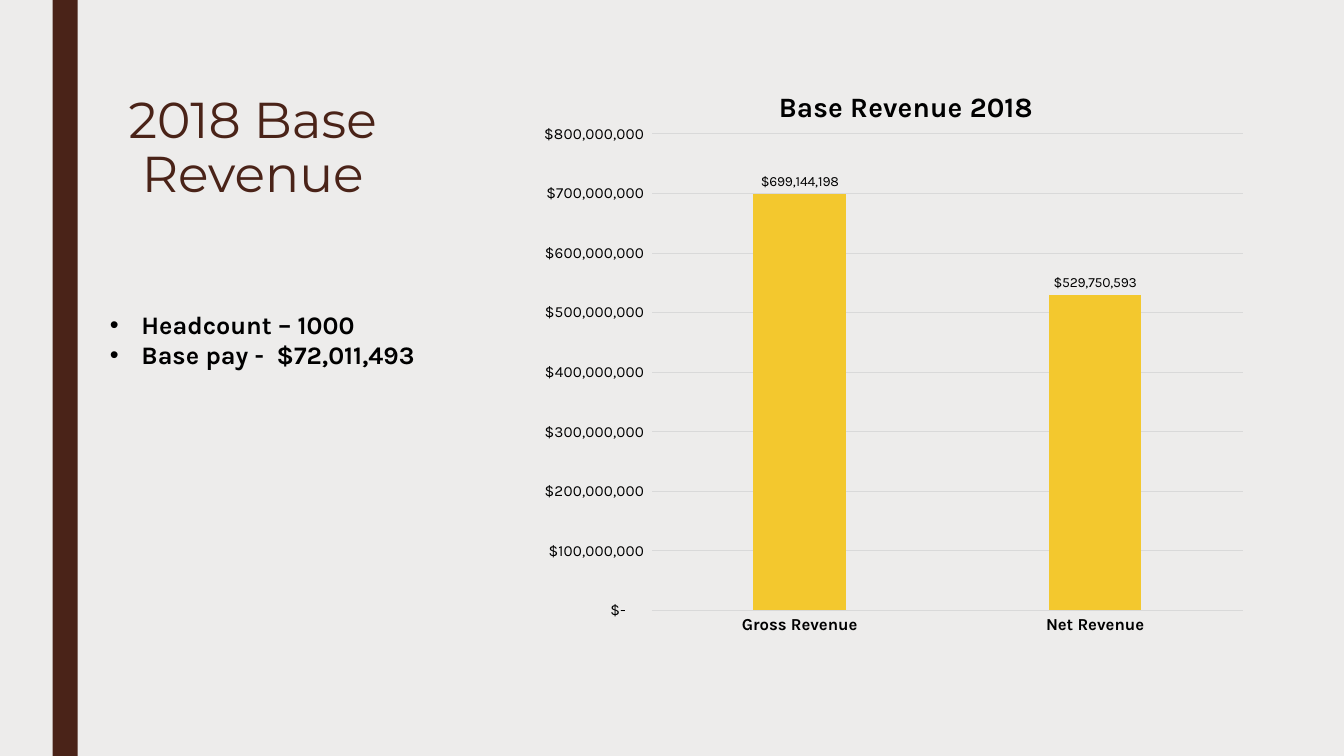
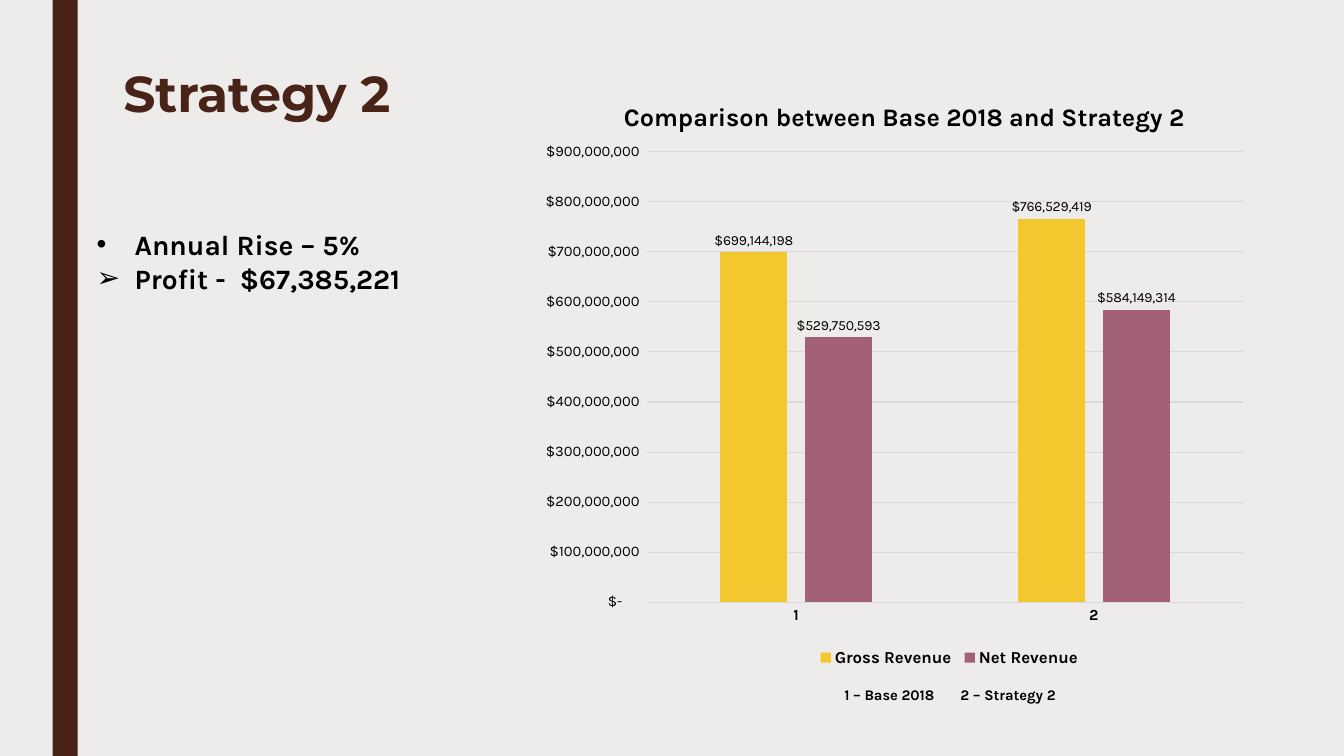
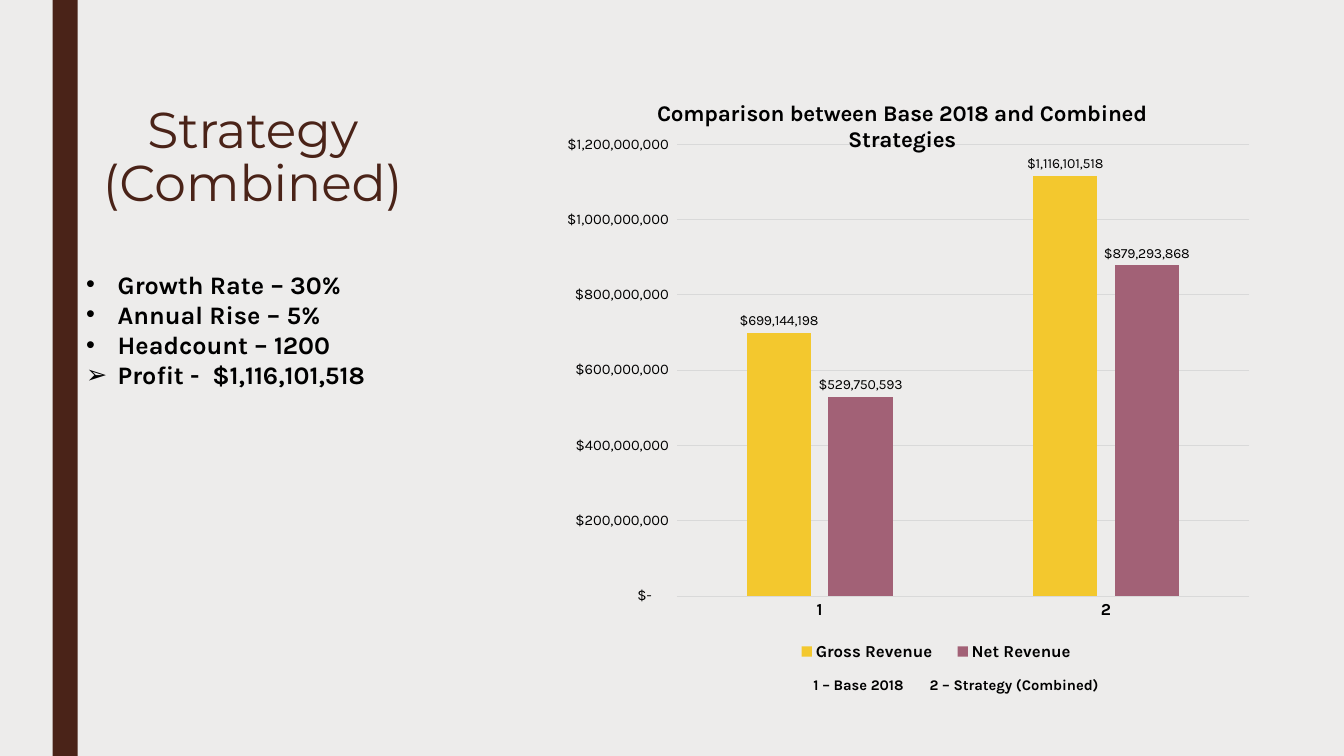
"""Build three revenue strategy slides, each with a title, key figures and a column chart."""
from dataclasses import dataclass

from lxml import etree
from pptx import Presentation
from pptx.chart.data import CategoryChartData
from pptx.dml.color import RGBColor
from pptx.enum.chart import XL_CHART_TYPE as ChartType
from pptx.enum.chart import XL_LABEL_POSITION as LabelPosition
from pptx.enum.chart import XL_LEGEND_POSITION as LegendPosition
from pptx.enum.chart import XL_TICK_MARK as TickMark
from pptx.enum.shapes import MSO_SHAPE as Preset
from pptx.enum.text import MSO_ANCHOR as Anchor
from pptx.enum.text import MSO_AUTO_SIZE as AutoSize
from pptx.enum.text import PP_ALIGN as Align
from pptx.oxml.ns import qn
from pptx.util import Pt


@dataclass(frozen=True)
class Theme:
    background: str = "EDECEB"
    brown: str = "4A2318"
    ink: str = "000000"
    grid: str = "D9D9D9"
    series: tuple = ("F3C82E", "A26176")
    title_font: str = "Montserrat"
    body_font: str = "Karla"
    title_size: float = 36
    label_size: float = 10
    legend_size: float = 12
    note_size: float = 10.5
    money: str = '_("$"* #,##0_);_("$"* \\(#,##0\\);_("$"* "-"??_);_(@_)'


THEME = Theme()
SLIDE_SIZE = (960, 540)
BAR_BOX = (37.5, 0, 18, 540)
NOTE_TAB = 83
DOT, ARROW = "•", "➢"
MILLION = 1_000_000

SLIDES = [
    {
        "title": "2018 Base Revenue", "title_box": (50.5, 50.5, 260, 112.5), "bold": False,
        "points": [(DOT, "Headcount – 1000"), (DOT, "Base pay -  $72,011,493")],
        "points_box": (71.5, 217.5, 276.5, 72.5), "points_size": 18, "indent": 22.5,
        "chart": {
            "box": (386, 41, 512.5, 448.5), "title": "Base Revenue 2018",
            "title_size": 20, "title_at": (0.32, 0.04),
            "categories": ["Gross Revenue", "Net Revenue"],
            "series": {"Series 1": (699144198, 529750593)},
            "category_size": 12, "value_size": 11, "maximum": 800, "step": 100,
            "plot": (0.149, 0.122, 0.83, 0.759), "legend": None,
        },
        "note": None,
    },
    {
        "title": "Strategy 2", "title_box": (53.5, 20, 260, 98), "bold": True,
        "points": [(DOT, "Annual Rise – 5%"), (ARROW, "Profit -  $67,385,221")],
        "points_box": (62, 159, 275, 55.5), "points_size": 20, "indent": 27,
        "chart": {
            "box": (386, 50.5, 512.5, 439), "title": "Comparison between Base 2018 and Strategy 2",
            "title_size": 18, "title_at": (0.11, 0.04),
            "categories": ["1", "2"],
            "series": {"Gross Revenue": (699144198, 766529419),
                       "Net Revenue": (529750593, 584149314)},
            "category_size": 11, "value_size": 10.5, "maximum": 900, "step": 100,
            "plot": (0.149, 0.132, 0.83, 0.733), "legend": (0.38, 0.93, 0.38, 0.05),
        },
        "note": ("1 – Base 2018\t2 – Strategy 2", (596, 486, 165.5, 21)),
    },
    {
        "title": "Strategy (Combined)", "title_box": (50.5, 50.5, 260, 126), "bold": False,
        "points": [(DOT, "Growth Rate – 30%"), (DOT, "Annual Rise – 5%"),
                   (DOT, "Headcount – 1200"), (ARROW, "Profit -  $1,116,101,518")],
        "points_box": (54.5, 188.5, 281, 116.5), "points_size": 18, "indent": 22.5,
        "chart": {
            "box": (389.5, 50.5, 512.5, 439),
            "title": "Comparison between Base 2018 and Combined Strategies",
            "title_size": 16, "title_at": (0.15, 0.04),
            "categories": ["1", "2"],
            "series": {"Gross Revenue": (699144198, 1116101518),
                       "Net Revenue": (529750593, 879293868)},
            "category_size": 12, "value_size": 10.5, "maximum": 1200, "step": 200,
            "plot": (0.183, 0.12, 0.798, 0.735), "legend": (0.33, 0.92, 0.43, 0.05),
        },
        "note": ("1 – Base 2018\t2 – Strategy (Combined)", (574, 479.5, 218, 20)),
    },
]


def points(box):
    return [Pt(length) for length in box]


def set_font(font, size, bold=False, color=THEME.ink, name=THEME.body_font):
    font.name, font.size, font.bold = name, Pt(size), bold
    font.color.rgb = RGBColor.from_string(color)


def set_fill(fill, color):
    fill.solid()
    fill.fore_color.rgb = RGBColor.from_string(color)


def set_line(line, color):
    line.color.rgb = RGBColor.from_string(color)
    line.width = Pt(0.75)


def place(element, box, inner=False):
    """Give a chart part a manual layout in fractions of the chart."""
    for old in element.findall(qn("c:layout")):
        element.remove(old)
    layout = etree.Element(qn("c:layout"))
    manual = etree.SubElement(layout, qn("c:manualLayout"))
    entries = [("layoutTarget", "inner")] if inner else []
    entries += [("xMode", "edge"), ("yMode", "edge"), *zip("xywh", box)]
    for tag, value in entries:
        etree.SubElement(manual, qn(f"c:{tag}")).set("val", str(value))
    overlay = element.find(qn("c:overlay"))
    if overlay is None:
        element.insert(0, layout)
    else:
        overlay.addprevious(layout)


def add_title(slide, text, box, bold):
    title = slide.shapes.title
    title.left, title.top, title.width, title.height = points(box)
    frame = title.text_frame
    frame.text = text
    frame.word_wrap, frame.auto_size = True, AutoSize.NONE
    frame.vertical_anchor = Anchor.MIDDLE
    paragraph = frame.paragraphs[0]
    paragraph.alignment, paragraph.line_spacing = Align.CENTER, 0.89
    set_font(paragraph.font, THEME.title_size, bold, THEME.brown, THEME.title_font)


def add_text(slide, lines, box, size):
    """Add a bold text box and return its paragraphs."""
    frame = slide.shapes.add_textbox(*points(box)).text_frame
    frame.text = "\n".join(lines)
    frame.word_wrap, frame.auto_size = True, AutoSize.SHAPE_TO_FIT_TEXT
    for paragraph in frame.paragraphs:
        set_font(paragraph.font, size, True)
    return frame.paragraphs


def add_points(slide, items, box, size, indent):
    paragraphs = add_text(slide, [text for _, text in items], box, size)
    for paragraph, (bullet, _) in zip(paragraphs, items):
        properties = paragraph._p.get_or_add_pPr()
        properties.set("marL", str(Pt(indent)))
        properties.set("indent", str(-Pt(indent)))
        mark_font = etree.Element(qn("a:buFont"), typeface="Arial")
        mark = etree.Element(qn("a:buChar"), char=bullet)
        properties.insert(0, mark_font)
        mark_font.addnext(mark)


def add_note(slide, text, box):
    paragraph = add_text(slide, [text], box, THEME.note_size)[0]
    tabs = etree.Element(qn("a:tabLst"))
    etree.SubElement(tabs, qn("a:tab"), pos=str(Pt(NOTE_TAB)), algn="l")
    paragraph._p.get_or_add_pPr().insert(0, tabs)


def format_axes(chart, content):
    category, value = chart.category_axis, chart.value_axis
    for axis in (category, value):
        axis.major_tick_mark = axis.minor_tick_mark = TickMark.NONE
    set_font(category.tick_labels.font, content["category_size"], True)
    set_line(category.format.line, THEME.grid)
    set_font(value.tick_labels.font, content["value_size"])
    value.tick_labels.number_format = THEME.money
    value.tick_labels.number_format_is_linked = False
    value.format.line.fill.background()
    set_line(value.major_gridlines.format.line, THEME.grid)
    value.minimum_scale = 0
    value.maximum_scale = content["maximum"] * MILLION
    value.major_unit = content["step"] * MILLION


def format_columns(plot):
    plot.gap_width, plot.overlap, plot.vary_by_categories = 219, -27, False
    for series, color in zip(plot.series, THEME.series):
        set_fill(series.format.fill, color)
        labels = series.data_labels
        labels.show_value, labels.position = True, LabelPosition.OUTSIDE_END
        labels.number_format, labels.number_format_is_linked = THEME.money, False
        set_font(labels.font, THEME.label_size)


def add_column_chart(slide, content):
    data = CategoryChartData(number_format=THEME.money)
    data.categories = content["categories"]
    for name, values in content["series"].items():
        data.add_series(name, values)
    box = points(content["box"])
    chart = slide.shapes.add_chart(ChartType.COLUMN_CLUSTERED, *box, data).chart
    set_font(chart.font, THEME.label_size)
    format_axes(chart, content)
    format_columns(chart.plots[0])
    place(chart.element.find(f".//{qn('c:plotArea')}"), content["plot"], inner=True)

    chart.has_title = True
    frame = chart.chart_title.text_frame
    frame.text = content["title"]
    set_font(frame.paragraphs[0].font, content["title_size"], True)
    place(chart.element.find(f".//{qn('c:title')}"), content["title_at"])

    chart.has_legend = content["legend"] is not None
    if chart.has_legend:
        chart.legend.position = LegendPosition.BOTTOM
        chart.legend.include_in_layout = False
        set_font(chart.legend.font, THEME.legend_size, True)
        place(chart.element.find(f".//{qn('c:legend')}"), content["legend"])


def add_shared_bar(slide, layout):
    """Draw the side bar and move it to the layout that all slides use."""
    bar = slide.shapes.add_shape(Preset.RECTANGLE, *points(BAR_BOX))
    bar.shadow.inherit = False
    set_fill(bar.fill, THEME.brown)
    bar.line.fill.background()
    layout.shapes.element.append(bar.element)


def main():
    presentation = Presentation()
    presentation.slide_width, presentation.slide_height = points(SLIDE_SIZE)
    set_fill(presentation.slide_master.background.fill, THEME.background)
    layout = presentation.slide_layouts.get_by_name("Title Only")
    for content in SLIDES:
        slide = presentation.slides.add_slide(layout)
        add_title(slide, content["title"], content["title_box"], content["bold"])
        add_column_chart(slide, content["chart"])
        if content["note"]:
            add_note(slide, *content["note"])
        add_points(slide, content["points"], content["points_box"],
                   content["points_size"], content["indent"])
    add_shared_bar(presentation.slides[0], layout)
    presentation.save("out.pptx")


main()
